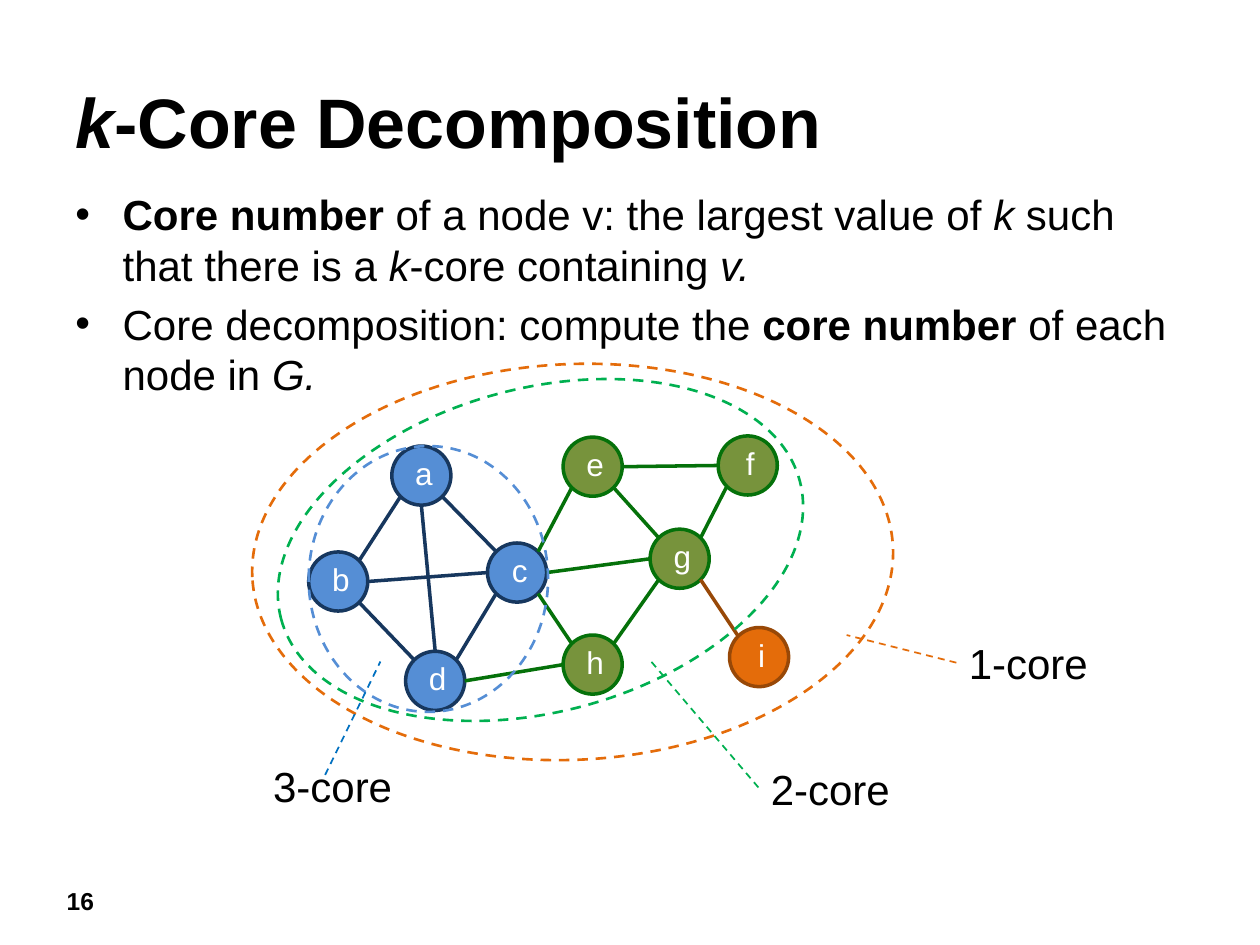
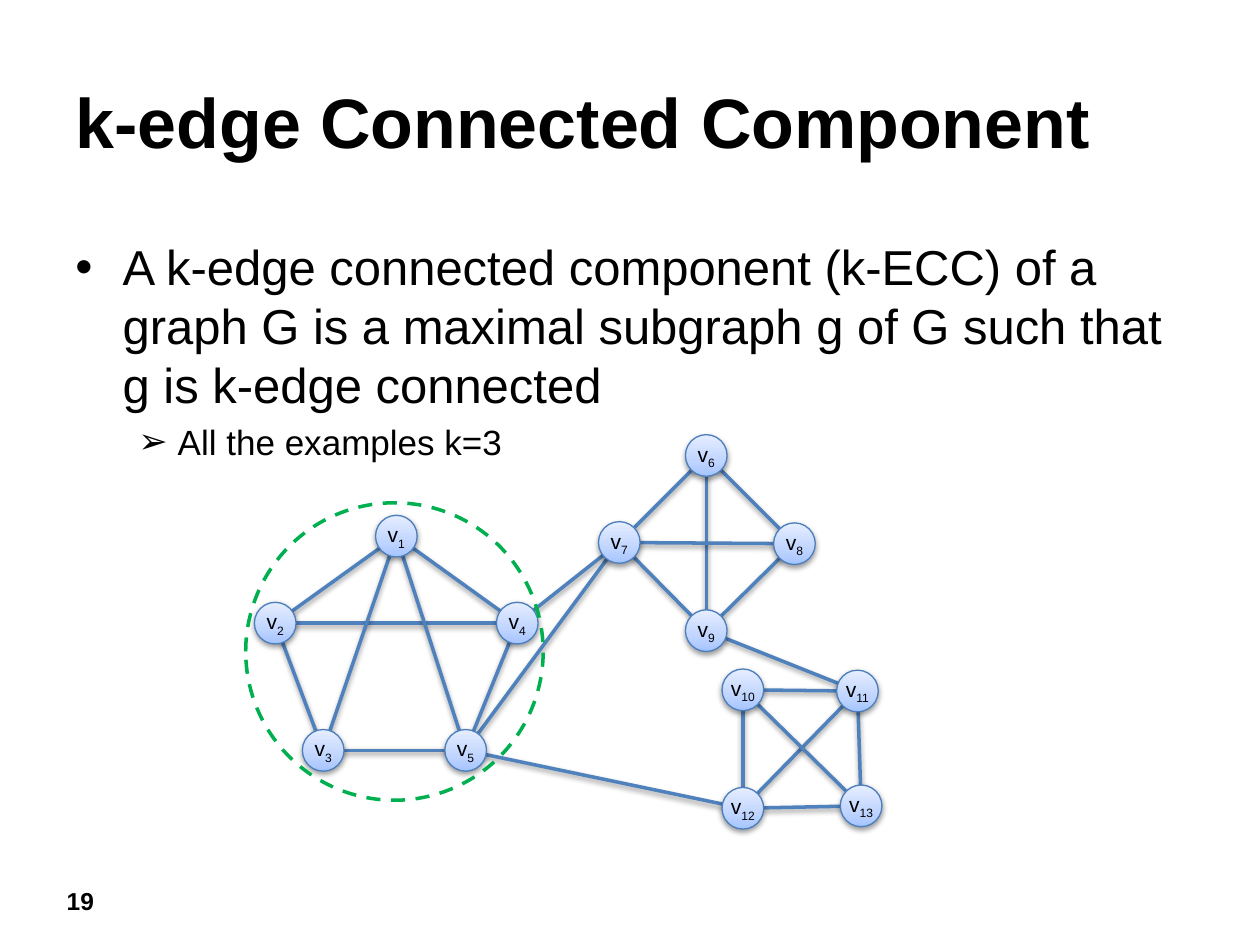
import copy
import dataclasses
import math

import pptx
import pptx.dml.color
import pptx.enum.dml
import pptx.enum.shapes
import pptx.enum.text
import pptx.oxml.ns
import pptx.util
from lxml import etree

Pt = pptx.util.Pt
qn = pptx.oxml.ns.qn
SHAPE = pptx.enum.shapes.MSO_SHAPE
LINK = pptx.enum.shapes.MSO_CONNECTOR.STRAIGHT
DASH = pptx.enum.dml.MSO_LINE.DASH
ALIGN = pptx.enum.text.PP_ALIGN
ANCHOR = pptx.enum.text.MSO_ANCHOR
FIT = pptx.enum.text.MSO_AUTO_SIZE


@dataclasses.dataclass(frozen=True)
class Theme:
    font: str = "Arial"
    ink: str = "000000"
    white: str = "FFFFFF"
    sky: str = "558ED5"
    navy: str = "17375E"
    olive: str = "77933C"
    green: str = "05710A"
    orange: str = "E46C0A"
    brown: str = "984807"
    leaf: str = "00B050"
    sea: str = "0070C0"
    steel: str = "4F81BD"
    rim: str = "4B7EBC"
    fade: tuple = ((0, "A4C4FF"), (0.35, "BFD4FF"), (1, "E6EEFF"))
    title: int = 40
    large: int = 28
    body: int = 24
    sub: int = 20
    node: int = 18
    foot: int = 14
    small: int = 12


def tint(name):
    return pptx.dml.color.RGBColor.from_string(name)


def round_pos(spot, size, side):
    angle = math.radians(45 * "e se s sw w nw n ne".split().index(side))
    return [p + size / 2 * (1 + f(angle)) for p, f in zip(spot, (math.cos, math.sin))]


class Deck:
    """Hold the style and the current slide, and draw each kind of element."""

    def __init__(self, theme):
        self.theme = theme
        self.show = pptx.Presentation()
        self.show.slide_width, self.show.slide_height = Pt(720), Pt(540)

    def page(self, runs, number):
        layout = self.show.slide_layouts.get_by_name("Title Only")
        self.slide = self.show.slides.add_slide(layout)
        title = self.slide.shapes.title
        title.left, title.top, title.width, title.height = map(Pt, (36, 37.4, 648, 62.6))
        frame = title.text_frame
        frame.auto_size = FIT.NONE
        frame.vertical_anchor = ANCHOR.MIDDLE
        par = frame.paragraphs[0]
        par.alignment = ALIGN.LEFT
        self.add_runs(par, runs, self.theme.title)
        self.label((31, 502.6, 34, 24.5), [(number, "b")], self.theme.foot)

    def add_runs(self, par, runs, size, color=None):
        for text, style in runs:
            run = par.add_run()
            run.text = text
            font = run.font
            font.name, font.size = self.theme.font, Pt(size)
            font.color.rgb = tint(color or self.theme.ink)
            font.bold, font.italic = "b" in style, "i" in style
            if "s" in style:
                run._r.get_or_add_rPr().set("baseline", "-25000")

    def frame(self, box):
        frame = self.slide.shapes.add_textbox(*map(Pt, box)).text_frame
        frame.word_wrap = True
        return frame

    def label(self, box, runs, size):
        self.add_runs(self.frame(box).paragraphs[0], runs, size)

    def bullets(self, box, items):
        frame = self.frame(box)
        for n, (size, level, runs) in enumerate(items):
            par = frame.add_paragraph() if n else frame.paragraphs[0]
            par.level = level
            par.space_before = Pt(size * 0.2)
            left, hang, mark = ((27, -27, "•"), (58.5, -22.5, "➢"))[level]
            props = par._p.get_or_add_pPr()
            props.set("marL", str(Pt(left)))
            props.set("indent", str(Pt(hang)))
            etree.SubElement(props, qn("a:buFont")).set("typeface", self.theme.font)
            etree.SubElement(props, qn("a:buChar")).set("char", mark)
            self.add_runs(par, runs, size)

    def stroke(self, shape, color, width, dash=False, cast=False):
        shape.line.color.rgb = tint(color)
        shape.line.width = Pt(width)
        if dash:
            shape.line.dash_style = DASH
        effect = etree.SubElement(shape._element.spPr, qn("a:effectLst"))
        if cast:
            shade = etree.SubElement(effect, qn("a:outerShdw"), blurRad=str(Pt(3.1)),
                                     dist=str(Pt(1.6)), dir="5400000", rotWithShape="0")
            hue = etree.SubElement(shade, qn("a:srgbClr"), val=self.theme.ink)
            etree.SubElement(hue, qn("a:alpha"), val="38000")

    def line(self, start, end, color, width=2, dash=False, cast=False):
        link = self.slide.shapes.add_connector(LINK, *map(Pt, (*start, *end)))
        self.stroke(link, color, width, dash, cast)

    def ring(self, box, color, width=1.5, turn=0):
        ring = self.slide.shapes.add_shape(SHAPE.OVAL, *map(Pt, box))
        ring.rotation = turn
        ring.fill.background()
        self.stroke(ring, color, width, dash=True)

    def node(self, kind, spot, side, runs, size, ink, inset=0):
        node = self.slide.shapes.add_shape(kind, *map(Pt, (*spot, side, side)))
        frame = node.text_frame
        frame.word_wrap = False
        frame.vertical_anchor = ANCHOR.MIDDLE
        frame.margin_left = frame.margin_bottom = Pt(inset)
        frame.margin_top = frame.margin_right = 0
        frame.paragraphs[0].alignment = ALIGN.CENTER
        self.add_runs(frame.paragraphs[0], runs, size, ink)
        return node

    def disc(self, spot, side, name, fill, edge):
        disc = self.node(SHAPE.OVAL, spot, side, [(name, "")],
                         self.theme.node, self.theme.white, 3)
        disc.fill.solid()
        disc.fill.fore_color.rgb = tint(fill)
        self.stroke(disc, edge, 2)

    def ball(self, spot, side, number):
        theme = self.theme
        ball = self.node(SHAPE.FLOWCHART_CONNECTOR, spot, side,
                         [("v", ""), (str(number), "s")], theme.small, theme.ink)
        ball.fill.gradient()
        ball.fill.gradient_angle = 90
        stops = ball._element.spPr.find(qn("a:gradFill")).find(qn("a:gsLst"))
        stops.insert(1, copy.deepcopy(stops[0]))
        for stop, (place, color) in zip(ball.fill.gradient_stops, theme.fade):
            stop.position = place
            stop.color.rgb = tint(color)
        self.stroke(ball, theme.rim, 0.75, cast=True)


def draw_core(deck):
    theme = deck.theme
    deck.page([("k", "bi"), ("-Core Decomposition", "b")], "16")
    deck.bullets((36, 104.4, 648, 136), [
        (theme.body, 0, [("Core number ", "b"), ("of a node v: the largest value of ", ""),
                         ("k", "i"), (" such that there is a ", ""), ("k", "i"),
                         ("-core containing ", ""), ("v.", "i")]),
        (theme.body, 0, [("Core decomposition: compute the ", ""), ("core number ", "b"),
                         ("of each node in ", ""), ("G.", "i")]),
    ])
    side = 33.8
    blue, green = (theme.sky, theme.navy), (theme.olive, theme.green)
    rust = (theme.orange, theme.brown)
    nodes = {
        "h": (321.8, 362.9, green), "d": (231.8, 372.2, blue), "a": (223.9, 254.9, blue),
        "b": (176.4, 315.4, blue), "c": (278.6, 310.3, blue), "e": (321.8, 249.8, green),
        "g": (371.5, 302.4, green), "f": (410.4, 249.1, green), "i": (416.9, 358.6, rust),
    }
    for name, (x, y, pair) in nodes.items():
        deck.disc((x, y), side, name, *pair)
    edges = {
        theme.navy: "a-se-c-nw a-sw-b-ne d-nw-b-se c-sw-d-ne c-w-b-e a-s-d-n",
        theme.green: "e-sw-c-ne c-se-h-nw h-w-d-e g-w-c-e e-se-g-nw g-sw-h-ne f-w-e-e f-sw-g-ne",
        theme.brown: "g-se-i-nw",
    }
    for color, group in edges.items():
        for edge in group.split():
            one, out, two, into = edge.split("-")
            deck.line(round_pos(nodes[one][:2], side, out),
                      round_pos(nodes[two][:2], side, into), color)
    deck.ring((144, 208.1, 366.5, 226.1), theme.orange, turn=357.3)
    deck.ring((155.5, 221.8, 306.7, 185), theme.leaf, turn=345.1)
    deck.ring((176.4, 254.9, 136.8, 151.9), theme.sky)
    for start, end, color in (
        ((185.8, 442.8), (217.4, 378), theme.sea),
        ((433.4, 450), (371.5, 377.3), theme.leaf),
        ((546.5, 378.7), (483.8, 362.9), theme.orange),
    ):
        deck.line(start, end, color, 1, dash=True)
    for text, x, y in (("2-core", 433.4, 432.7), ("1-core", 546.5, 360.7),
                       ("3-core", 149, 431.3)):
        deck.label((x, y, min(237.6, 720 - x), 36), [(text, "")], theme.body)


def draw_edge(deck):
    theme = deck.theme
    deck.page([("k-edge Connected Component", "b")], "19")
    deck.bullets((36, 131.8, 648, 103.7), [
        (theme.large, 0, [("A k-edge connected component (k-ECC) of a graph G is a maximal "
                           "subgraph g of G such that g is k-edge connected", "")]),
        (theme.sub, 1, [("All the examples k=3", "")]),
    ])
    side = 23.8
    nodes = {
        1: (214.6, 294.5), 2: (145.4, 344.2), 3: (172.8, 416.9), 4: (283.7, 344.2),
        5: (254.2, 416.9), 6: (391.7, 248.4), 7: (342, 298.1), 8: (442.1, 298.8),
        9: (391.7, 348.5), 10: (412.6, 382.3), 11: (478.1, 383), 12: (412.6, 450),
        13: (480.2, 448.6),
    }
    edges = ((12, 13), (12, 10), (12, 5), (11, 9), (7, 5), (7, 4), (4, 1), (1, 2),
             (2, 3), (5, 3), (4, 5), (2, 4), (1, 3), (1, 5), (6, 9), (8, 7),
             (8, 6), (8, 9), (9, 7), (7, 6), (11, 12), (13, 10), (11, 10), (13, 11))
    for pair in edges:
        start, end = ([p + side / 2 for p in nodes[n]] for n in pair)
        deck.line(start, end, theme.steel, cast=True)
    for number, spot in nodes.items():
        deck.ball(spot, side, number)
    deck.ring((140.4, 287.3, 170, 170), theme.leaf, 2)


def main():
    deck = Deck(Theme())
    draw_core(deck)
    draw_edge(deck)
    deck.show.save("out.pptx")


if __name__ == "__main__":
    main()
